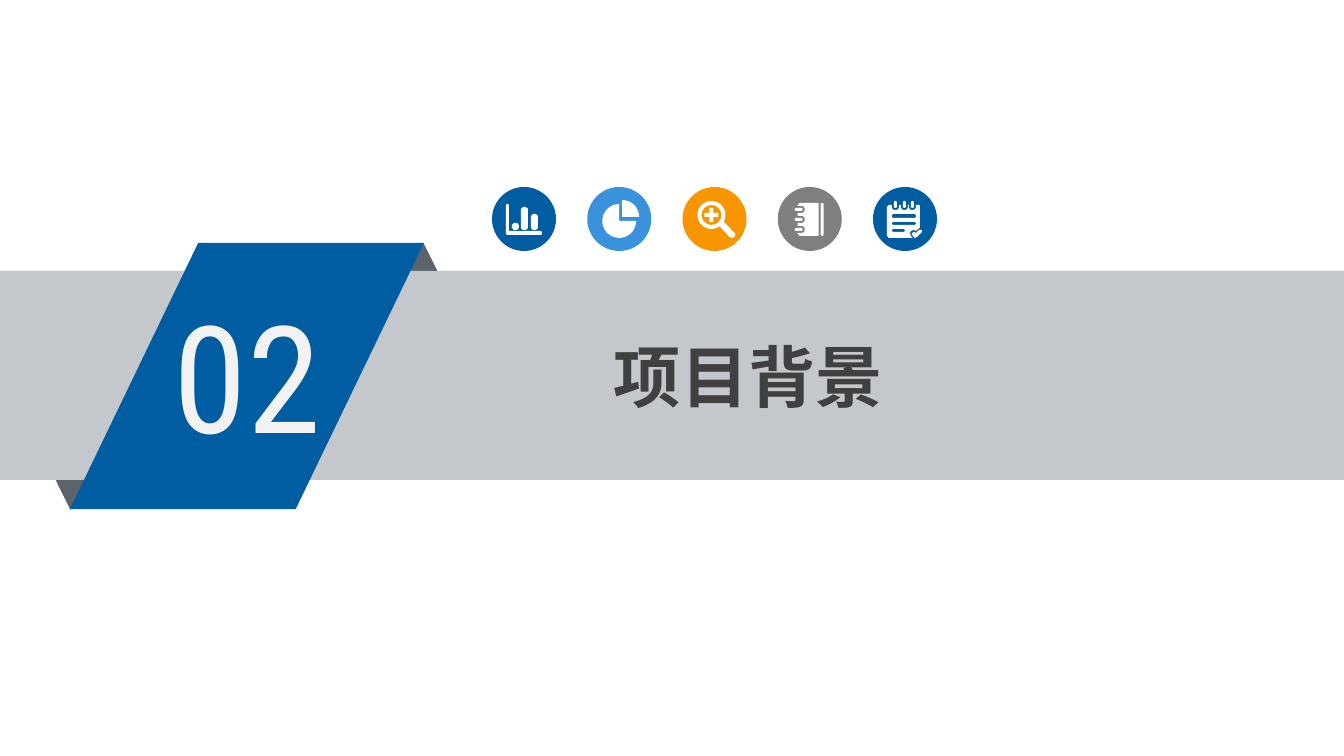
from math import cos, radians, sin

from pptx import Presentation
from pptx.dml.color import RGBColor
from pptx.enum.shapes import MSO_SHAPE as Kind
from pptx.util import Emu, Pt

PX = 914400 / 100.8
WHITE, NAVY, SKY, AMBER, GREY = "FFFFFF", "005DA2", "3992DB", "F79600", "7F7F7F"
FOLD, BAND = "5D636A", "C4C7CB"

BANNER = [
    # kind, (left, top, width, height), colour, format
    (Kind.ISOSCELES_TRIANGLE, (363, 243, 121, 122), FOLD, {}),
    (Kind.ISOSCELES_TRIANGLE, (10, 388, 121, 122), FOLD, {"rotation": 180}),
    (Kind.RECTANGLE, (0, 271, 1344, 209), BAND, {}),
    (Kind.PARALLELOGRAM, (70, 243, 354, 266), NAVY, {"adjust": [0.482]}),
]
NUMBER = ("02", (164, 279, 195, 192),
          {"size": Pt(106.7), "name": "Roboto Condensed"}, "F2F2F2")
TITLE = ("项目背景", (604, 330, 742, 92),
         {"size": Pt(48), "name": "Noto Sans CJK SC", "bold": True}, "404040")

# Icon outlines are placed from the corner of their disc.
DISC, PITCH, LEFT, TOP = 64, 95.25, 492, 187


def bar(x, y, w, h):
    """Outline a bar with cut corners."""
    c = 2 if min(w, h) > 4 else 1
    r, b = x + w, y + h
    return [(x + c, y), (r - c, y), (r, y + c), (r, b - c),
            (r - c, b), (x + c, b), (x, b - c), (x, y + c)]


def arc(x, y, size, start, end, count=16):
    """List points on an arc, in degrees."""
    turns = [radians(start + (end - start) * i / count) for i in range(count + 1)]
    return [(x + size * cos(t), y + size * sin(t)) for t in turns]


chart = [
    [(14, 18), (15, 17), (16, 17), (17, 18), (17, 44), (49, 44), (50, 45),
     (50, 47), (49, 48), (15, 48), (14, 47)],
    bar(20, 36, 7, 7), bar(29, 20, 7, 23), bar(39, 27, 7, 16),
]
share = [[(35, 30)] + arc(35, 30, 17, 270, 360, 8),
         [(32, 34)] + arc(32, 34, 17, 0, 270)]
zoom = [
    arc(29, 28, 14, 54, 388, 24) + [(51, 45), (53, 47), (52, 50), (49, 51), (47, 50)],
    arc(29, 28, 10, 0, 360),
    [(22, 26), (27, 26), (27, 21), (31, 21), (31, 26), (36, 26),
     (36, 30), (31, 30), (31, 35), (27, 35), (27, 30), (22, 30)],
]
cover = [(22, 16), (41, 16), (41, 49), (22, 49), (20, 47)]
for y in (39, 29, 19):
    cover += [(20, y + 7), (25, y + 7), (27, y + 5), (27, y + 2), (25, y), (20, y)]
book = [cover + [(20, 18)], bar(43, 16, 3, 33)]
book += [bar(17, y + 2, 8, 3) for y in (19, 29, 39)]
page = [(14, 20), (16, 18)]
for x in (19, 28, 36):
    page += [(x, 18), (x, 21), (x + 2, 23), (x + 5, 23), (x + 7, 21), (x + 7, 18)]
page += [(46, 18), (47, 19), (47, 41), (45, 42), (43, 44), (41, 43), (38, 44),
         (37, 46), (38, 49), (40, 51), (16, 51), (14, 49)]
tick = [(48, 46), (44, 50), (42, 51), (41, 50), (39, 48), (39, 46),
        (41, 45), (43, 46), (46, 43), (49, 43), (49, 45)]
notes = [page, tick, bar(19, 27, 24, 4), bar(19, 35, 24, 3), bar(19, 42, 13, 3)]
notes += [bar(x, 14, 3, 7) for x in (21, 30, 38)]

ICONS = [(NAVY, chart), (SKY, share), (AMBER, zoom), (GREY, book), (NAVY, notes)]


def rgb(code):
    """Turn a hex string into a colour."""
    return RGBColor.from_string(code)


def scale(sizes):
    """Turn pixels into EMU."""
    return [Emu(round(n * PX)) for n in sizes]


def paint(shape, color):
    """Give a shape a flat fill."""
    shape.shadow.inherit = False
    shape.fill.solid()
    shape.fill.fore_color.rgb = rgb(color)
    shape.line.fill.background()


def draw(group, kind, box, color, style):
    """Add a preset shape."""
    shape = group.shapes.add_shape(kind, *scale(box))
    paint(shape, color)
    shape.rotation = style.get("rotation", 0)
    for i, value in enumerate(style.get("adjust", [])):
        shape.adjustments[i] = value


def trace(group, paths, left, top):
    """Add one white shape made of closed outlines."""
    paths = [[scale((left + x, top + y)) for x, y in path] for path in paths]
    pen = group.shapes.build_freeform(*paths[0][0], scale=1.0)
    for i, path in enumerate(paths):
        if i:
            pen.move_to(*path[0])
        pen.add_line_segments(path[1:], close=True)
    paint(pen.convert_to_shape(), WHITE)


def write(group, text, box, style, color):
    """Add a line of text."""
    frame = group.shapes.add_textbox(*scale(box)).text_frame
    frame.word_wrap = True
    run = frame.paragraphs[0].add_run()
    run.text = text
    for key, value in style.items():
        setattr(run.font, key, value)
    run.font.color.rgb = rgb(color)
    # East Asian glyphs take their typeface from a separate element.
    face = run.font._rPr.makeelement(
        "{http://schemas.openxmlformats.org/drawingml/2006/main}ea",
        {"typeface": style["name"]})
    run.font._rPr.find("{*}latin").addnext(face)


deck = Presentation()
deck.slide_width, deck.slide_height = scale((1344, 756))
slide = deck.slides.add_slide(deck.slide_layouts[6])
banner = slide.shapes.add_group_shape()
for part in BANNER:
    draw(banner, *part)
write(banner, *NUMBER)
write(slide, *TITLE)
for i, (color, paths) in enumerate(ICONS):
    icon, left = slide.shapes.add_group_shape(), LEFT + i * PITCH
    draw(icon, Kind.OVAL, (left, TOP, DISC, DISC), color, {})
    trace(icon, paths, left, TOP)
deck.save("out.pptx")
